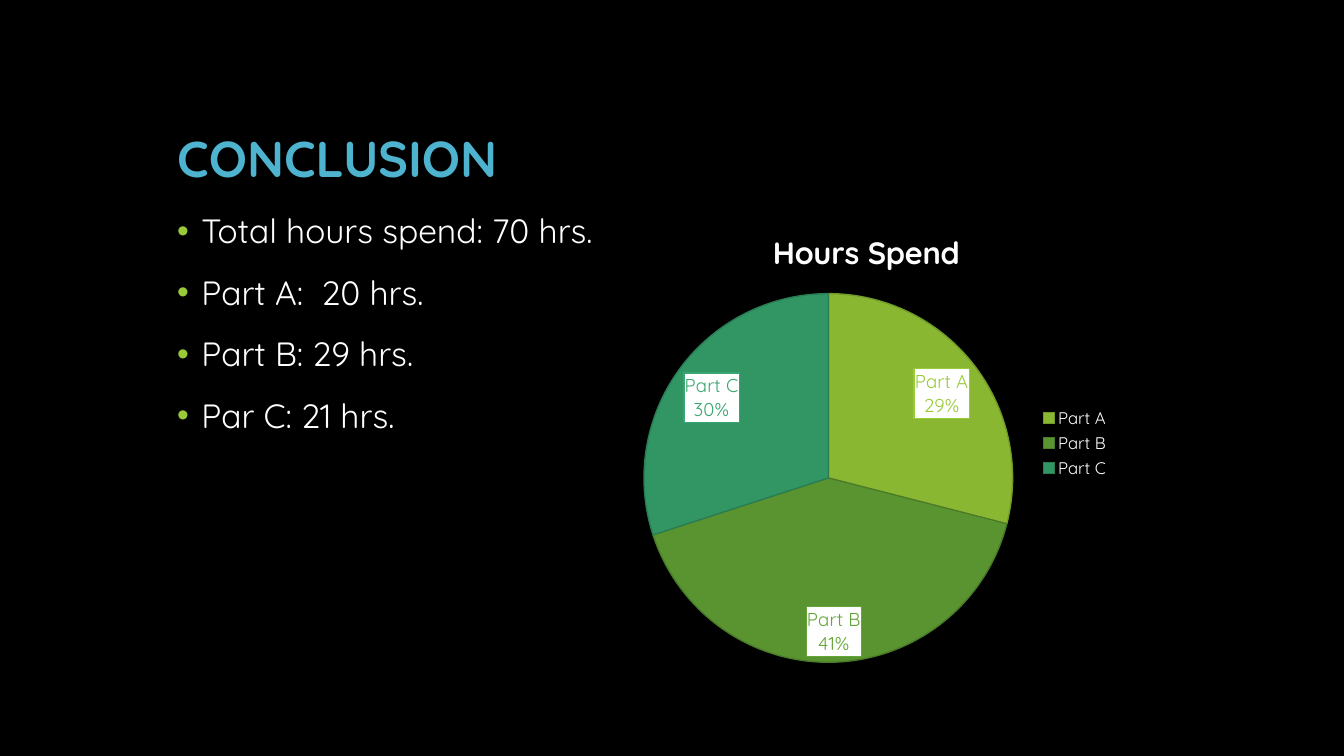
from dataclasses import dataclass

from lxml import etree
from pptx import Presentation
from pptx.chart.data import CategoryChartData
from pptx.dml.color import RGBColor
from pptx.enum.chart import XL_CHART_TYPE, XL_LABEL_POSITION, XL_LEGEND_POSITION
from pptx.enum.text import MSO_ANCHOR
from pptx.oxml import parse_xml
from pptx.oxml.ns import nsdecls, qn
from pptx.util import Pt

PIE = XL_CHART_TYPE.PIE
INSIDE_END = XL_LABEL_POSITION.INSIDE_END
RIGHT = XL_LEGEND_POSITION.RIGHT
TOP, BOTTOM = MSO_ANCHOR.TOP, MSO_ANCHOR.BOTTOM

FONT = "Quicksand"
BLACK = RGBColor(0x00, 0x00, 0x00)
WHITE = RGBColor(0xFF, 0xFF, 0xFF)
BLUE = RGBColor(0x4E, 0xB3, 0xCF)
LIME = RGBColor(0x99, 0xCB, 0x38)

INDENT = 17.28
CHART_TITLE = "Hours Spend"
BULLETS = [
    "Total hours spend: 70 hrs.",
    "Part A:  20 hrs.",
    "Part B: 29 hrs.",
    "Par C: 21 hrs.",
]


@dataclass
class Slice:
    name: str
    percent: int
    color: RGBColor
    edge: RGBColor


SLICES = [
    Slice("Part A", 29, LIME, RGBColor(0x72, 0x9A, 0x28)),
    Slice("Part B", 41, RGBColor(0x63, 0xA5, 0x37), RGBColor(0x4A, 0x7B, 0x29)),
    Slice("Part C", 30, RGBColor(0x37, 0xA7, 0x6F), RGBColor(0x29, 0x7D, 0x53)),
]


def style_font(font, size: float, color: RGBColor, bold: bool = False) -> None:
    font.name, font.size, font.bold = FONT, Pt(size), bold
    font.color.rgb = color


def add_bullet(p, color: RGBColor) -> None:
    pPr = p._p.get_or_add_pPr()
    pPr.set("marL", str(Pt(INDENT)))
    pPr.set("indent", str(-Pt(INDENT)))
    clr = etree.SubElement(pPr, qn("a:buClr"))
    etree.SubElement(clr, qn("a:srgbClr"), val=str(color))
    etree.SubElement(pPr, qn("a:buFont"), typeface="Arial")
    etree.SubElement(pPr, qn("a:buChar"), char="•")


def add_text(s, lines: list[str], left: float, top: float, width: float, height: float, *,
             size: float, color: RGBColor, bold: bool = False, anchor=TOP,
             space_before: float = 0, bullet: RGBColor | None = None) -> None:
    tf = s.shapes.add_textbox(Pt(left), Pt(top), Pt(width), Pt(height)).text_frame
    tf.word_wrap = True
    tf.vertical_anchor = anchor
    for i, line in enumerate(lines):
        p = tf.add_paragraph() if i else tf.paragraphs[0]
        p.line_spacing = 0.9
        p.space_before = Pt(space_before)
        if bullet is not None:
            add_bullet(p, bullet)
        r = p.add_run()
        r.text = line
        style_font(r.font, size, color, bold)


def format_slice(point, part: Slice) -> None:
    fmt = point.format
    fmt.fill.solid()
    fmt.fill.fore_color.rgb = part.color
    fmt.line.color.rgb = part.edge
    fmt.line.width = Pt(1)
    label = point.data_label
    style_font(label.font, 13.3, part.color)
    label.position = INSIDE_END


def finish_label(dLbl, part: Slice) -> None:
    """Show category and percentage on two lines in a white bordered box."""
    box = parse_xml(
        f'<c:spPr {nsdecls("c", "a")}><a:solidFill><a:srgbClr val="{WHITE}"/></a:solidFill>'
        f'<a:ln w="{Pt(1)}"><a:solidFill><a:srgbClr val="{part.color}"/></a:solidFill></a:ln>'
        '</c:spPr>')
    dLbl.find(qn("c:txPr")).addprevious(box)
    for tag, shown in (("c:showVal", "0"), ("c:showCatName", "1"), ("c:showPercent", "1")):
        dLbl.find(qn(tag)).set("val", shown)
    separator = etree.SubElement(dLbl, qn("c:separator"))
    separator.text = "\n"


def place_plot(chart, x: float, y: float, w: float, h: float) -> None:
    """Fix the inner plot area, given as fractions of the chart."""
    area = chart.element.find(".//" + qn("c:plotArea"))
    for old in area.findall(qn("c:layout")):
        area.remove(old)
    area.insert(0, parse_xml(
        f'<c:layout {nsdecls("c")}><c:manualLayout><c:layoutTarget val="inner"/>'
        '<c:xMode val="edge"/><c:yMode val="edge"/>'
        f'<c:x val="{x}"/><c:y val="{y}"/><c:w val="{w}"/><c:h val="{h}"/>'
        '</c:manualLayout></c:layout>'))


def add_hours_chart(s) -> None:
    data = CategoryChartData()
    data.categories = [part.name for part in SLICES]
    data.add_series(CHART_TITLE, [part.percent for part in SLICES])
    chart = s.shapes.add_chart(PIE, Pt(437.76), Pt(149.76), Pt(362.16), Pt(333.36), data).chart
    style_font(chart.font, 10, WHITE)

    chart.has_title = True
    chart.chart_title.include_in_layout = False
    r = chart.chart_title.text_frame.paragraphs[0].add_run()
    r.text = CHART_TITLE
    style_font(r.font, 22, WHITE, bold=True)

    chart.has_legend = True
    chart.legend.position = RIGHT
    chart.legend.include_in_layout = False
    style_font(chart.legend.font, 12, WHITE)

    plot = chart.plots[0]
    plot.vary_by_categories = True
    for i, part in enumerate(SLICES):
        format_slice(plot.series[0].points[i], part)
    for dPt in chart.element.iter(qn("c:dPt")):
        fill = dPt.find("/".join(map(qn, ("c:spPr", "a:solidFill", "a:srgbClr"))))
        etree.SubElement(fill, qn("a:alpha"), val="90000")
    for dLbl, part in zip(chart.element.iter(qn("c:dLbl")), SLICES):
        finish_label(dLbl, part)
    place_plot(chart, 0.06, 0.18, 0.73, 0.79)


def main() -> None:
    prs = Presentation()
    prs.slide_width, prs.slide_height = Pt(960), Pt(540)
    s = prs.slides.add_slide(prs.slide_layouts[6])
    s.background.fill.solid()
    s.background.fill.fore_color.rgb = BLACK
    add_text(s, ["CONCLUSION"], 119.52, 30.24, 720, 108,
             size=36, color=BLUE, bold=True, anchor=BOTTOM)
    add_text(s, BULLETS, 119.52, 149.76, 719.28, 324,
             size=24, color=WHITE, space_before=18, bullet=LIME)
    add_hours_chart(s)
    prs.save("out.pptx")


if __name__ == "__main__":
    main()
